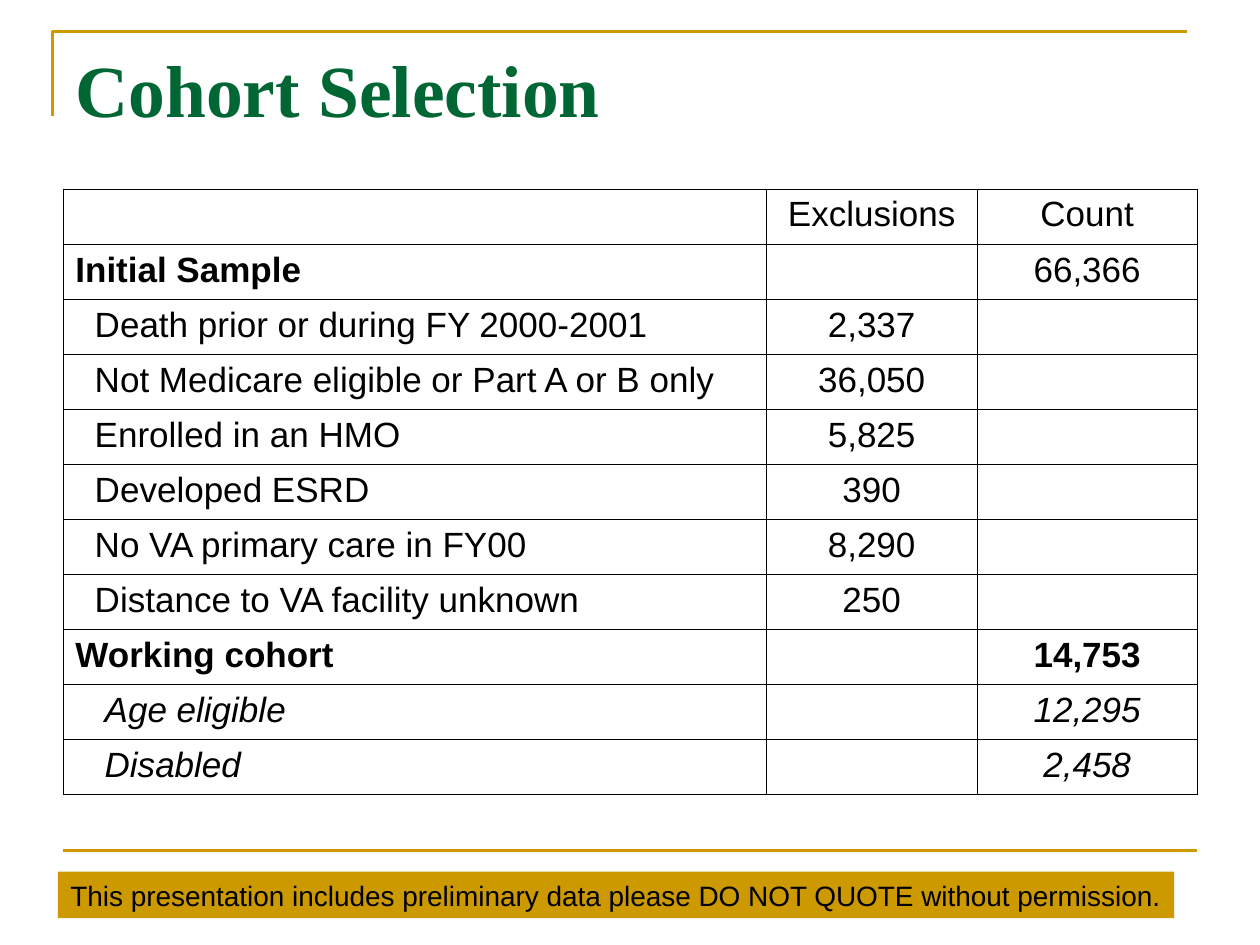
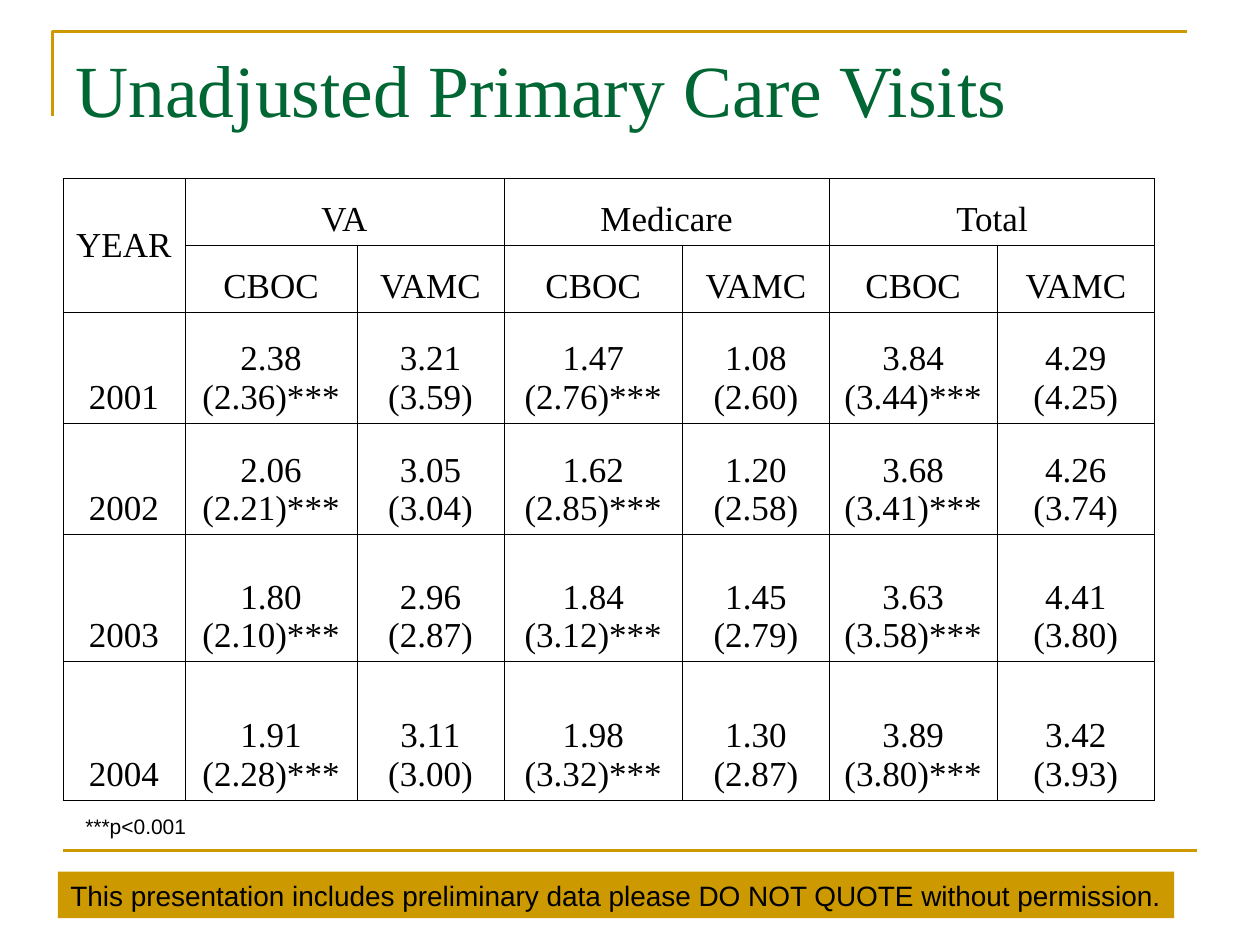
"""Build two cohort study slides with ruled tables."""
from dataclasses import dataclass

from lxml import etree
from pptx import Presentation
from pptx import util as u
from pptx.dml.color import RGBColor
from pptx.enum import shapes, text
from pptx.oxml import ns


@dataclass(frozen=True)
class Theme:
    ink: str = "000000"
    green: str = "006633"
    gold: str = "CC9900"
    sans: str = "Arial"
    serif: str = "Times New Roman"
    title_size: int = 42
    table_size: int = 20
    band_size: int = 16
    note_size: int = 12
    rule_width: float = 1.5
    grid_width: float = 0.45


BAND_TEXT = "This presentation includes preliminary data please DO NOT QUOTE without permission."
LEFT = 1.27
INSET = 0.25

COHORT_ROWS = [
    ("", "Exclusions", "Count"),
    ("Initial Sample", "", "66,366"),
    ("Death prior or during FY 2000-2001", "2,337", ""),
    ("Not Medicare eligible or Part A or B only", "36,050", ""),
    ("Enrolled in an HMO", "5,825", ""),
    ("Developed ESRD", "390", ""),
    ("No VA primary care in FY00", "8,290", ""),
    ("Distance to VA facility unknown", "250", ""),
    ("Working cohort", "", "14,753"),
    ("Age eligible", "", "12,295"),
    ("Disabled", "", "2,458"),
]
COHORT_TOTALS = {(1, 0), (8, 0), (8, 2)}

VISIT_ROWS = [
    ("YEAR", "VA", "", "Medicare", "", "Total", ""),
    ("",) + ("CBOC", "VAMC") * 3,
    ("2001", "2.38 (2.36)***", "3.21 (3.59)", "1.47 (2.76)***", "1.08 (2.60)",
     "3.84 (3.44)***", "4.29 (4.25)"),
    ("2002", "2.06 (2.21)***", "3.05 (3.04)", "1.62\n(2.85)***", "1.20\n(2.58)",
     "3.68 (3.41)***", "4.26 (3.74)"),
    ("2003", "1.80 (2.10)***", "2.96 (2.87)", "1.84 (3.12)***", "1.45 (2.79)",
     "3.63\n(3.58)***", "4.41 (3.80)"),
    ("2004", "1.91 (2.28)***", "3.11 (3.00)", "1.98 (3.32)***", "1.30 (2.87)",
     "3.89 (3.80)***", "3.42 (3.93)"),
]
VISIT_MERGES = [((0, 0), (1, 0))] + [((0, col), (0, col + 1)) for col in (1, 3, 5)]


def cohort_format(row, col):
    """Return the font, alignment and indent of a cohort cell."""
    subgroup = row >= 9
    indent = 0
    if col == 0 and row > 1 and row != 8:
        indent = 0.59 if subgroup else 0.39
    return {
        "font": {"bold": (row, col) in COHORT_TOTALS, "italic": subgroup},
        "align": text.PP_ALIGN.CENTER if col else text.PP_ALIGN.LEFT,
        "anchor": text.MSO_ANCHOR.TOP,
        "indent": indent,
    }


def visit_format(row, col):
    """Return the font, alignment and anchor of a visits cell."""
    heading = (row, col) == (0, 0)
    return {
        "font": {"name": Theme.serif},
        "align": text.PP_ALIGN.CENTER,
        "anchor": text.MSO_ANCHOR.MIDDLE if heading else text.MSO_ANCHOR.BOTTOM,
        "indent": 0,
    }


class Builder:
    """Hold the style and the current slide, and draw each kind of element."""

    def __init__(self, deck, theme):
        self.deck = deck
        self.theme = theme
        self.page = None

    def add_page(self, title, bold=False):
        self.page = self.deck.slides.add_slide(self.deck.slide_layouts[5])
        self.corner()
        self.rule()
        self.band()
        self.title(title, bold)

    def fill_text(self, frame, words, color=None, align=text.PP_ALIGN.LEFT, **values):
        frame.text = words
        formats = {"name": self.theme.sans, "bold": False, "italic": False, **values}
        formats["size"] = u.Pt(formats["size"])
        for para in frame.paragraphs:
            para.alignment = align
            for span in para.runs:
                for key, value in formats.items():
                    setattr(span.font, key, value)
                span.font.color.rgb = RGBColor.from_string(color or self.theme.ink)

    def stroke(self, line):
        line.color.rgb = RGBColor.from_string(self.theme.gold)
        line.width = u.Pt(self.theme.rule_width)

    def corner(self):
        start, *points = [(u.Cm(x), u.Cm(y)) for x, y in
                          ((1.06, 2.33), (1.06, 0.64), (23.92, 0.64))]
        outline = self.page.shapes.build_freeform(*start)
        outline.add_line_segments(points, close=False)
        bracket = outline.convert_to_shape()
        bracket.shadow.inherit = False
        bracket.fill.background()
        self.stroke(bracket.line)

    def rule(self):
        line = self.page.shapes.add_connector(
            shapes.MSO_CONNECTOR.STRAIGHT,
            u.Cm(LEFT), u.Cm(17.14), u.Cm(24.13), u.Cm(17.14))
        self.stroke(line.line)
        etree.SubElement(line._element.spPr, ns.qn("a:effectLst"))

    def band(self):
        box = self.page.shapes.add_shape(
            shapes.MSO_SHAPE.RECTANGLE, u.Cm(1.17), u.Cm(17.57), u.Cm(22.5), u.Cm(0.94))
        box.shadow.inherit = False
        box.fill.solid()
        box.fill.fore_color.rgb = RGBColor.from_string(self.theme.gold)
        box.line.fill.background()
        box.text_frame.word_wrap = False
        self.fill_text(box.text_frame, BAND_TEXT, size=self.theme.band_size)

    def title(self, words, bold):
        box = self.page.shapes.title
        place = {"left": LEFT, "top": 0.76, "width": 22.86, "height": 3.18}
        for key, value in place.items():
            setattr(box, key, u.Cm(value))
        frame = box.text_frame
        frame.auto_size = text.MSO_AUTO_SIZE.NONE
        frame.vertical_anchor = text.MSO_ANCHOR.TOP
        self.fill_text(frame, words, self.theme.green, name=self.theme.serif,
                       size=self.theme.title_size, bold=bold)

    def note(self, words, left, top, width, height):
        box = self.page.shapes.add_textbox(*map(u.Cm, (left, top, width, height)))
        box.text_frame.word_wrap = False
        self.fill_text(box.text_frame, words, size=self.theme.note_size)

    def borders(self, cell):
        props = cell._tc.get_or_add_tcPr()
        for side in ("lnL", "lnR", "lnT", "lnB"):
            edge = etree.SubElement(props, ns.qn(f"a:{side}"),
                                    w=str(u.Pt(self.theme.grid_width)))
            fill = etree.SubElement(edge, ns.qn("a:solidFill"))
            etree.SubElement(fill, ns.qn("a:srgbClr"), val=self.theme.ink)

    def table(self, rows, top, widths, heights, cell_format, merges=()):
        grid = self.page.shapes.add_table(
            len(rows), len(widths), u.Cm(LEFT), u.Cm(top),
            u.Cm(sum(widths)), u.Cm(sum(heights))).table
        grid.first_row = grid.horz_banding = False
        for column, width in zip(grid.columns, widths):
            column.width = u.Cm(width)
        for line, height in zip(grid.rows, heights):
            line.height = u.Cm(height)
        for first, last in merges:
            grid.cell(*first).merge(grid.cell(*last))
        for row, values in enumerate(rows):
            for col, words in enumerate(values):
                cell = grid.cell(row, col)
                style = cell_format(row, col)
                self.borders(cell)
                cell.fill.background()
                cell.vertical_anchor = style["anchor"]
                cell.margin_left = u.Cm(INSET + style["indent"])
                self.fill_text(cell.text_frame, words, align=style["align"],
                               size=self.theme.table_size, **style["font"])


def main():
    """Build and save the deck."""
    deck = Presentation()
    deck.slide_width, deck.slide_height = u.Cm(25.4), u.Cm(19.05)
    builder = Builder(deck, Theme())

    builder.add_page("Cohort Selection", bold=True)
    builder.table(COHORT_ROWS, 3.81, [14.17, 4.27, 4.42],
                  [1.11] * len(COHORT_ROWS), cohort_format)

    builder.add_page("Unadjusted Primary Care Visits")
    builder.note("***p<0.001", 1.47, 16.28, 2.54, 0.76)
    builder.table(VISIT_ROWS, 3.6, [2.46, 3.47, 2.96, 3.6, 2.96, 3.38, 3.18],
                  [1.35, 1.35, 2.24, 2.24, 2.56, 2.8], visit_format, VISIT_MERGES)

    deck.save("out.pptx")


if __name__ == "__main__":
    main()
